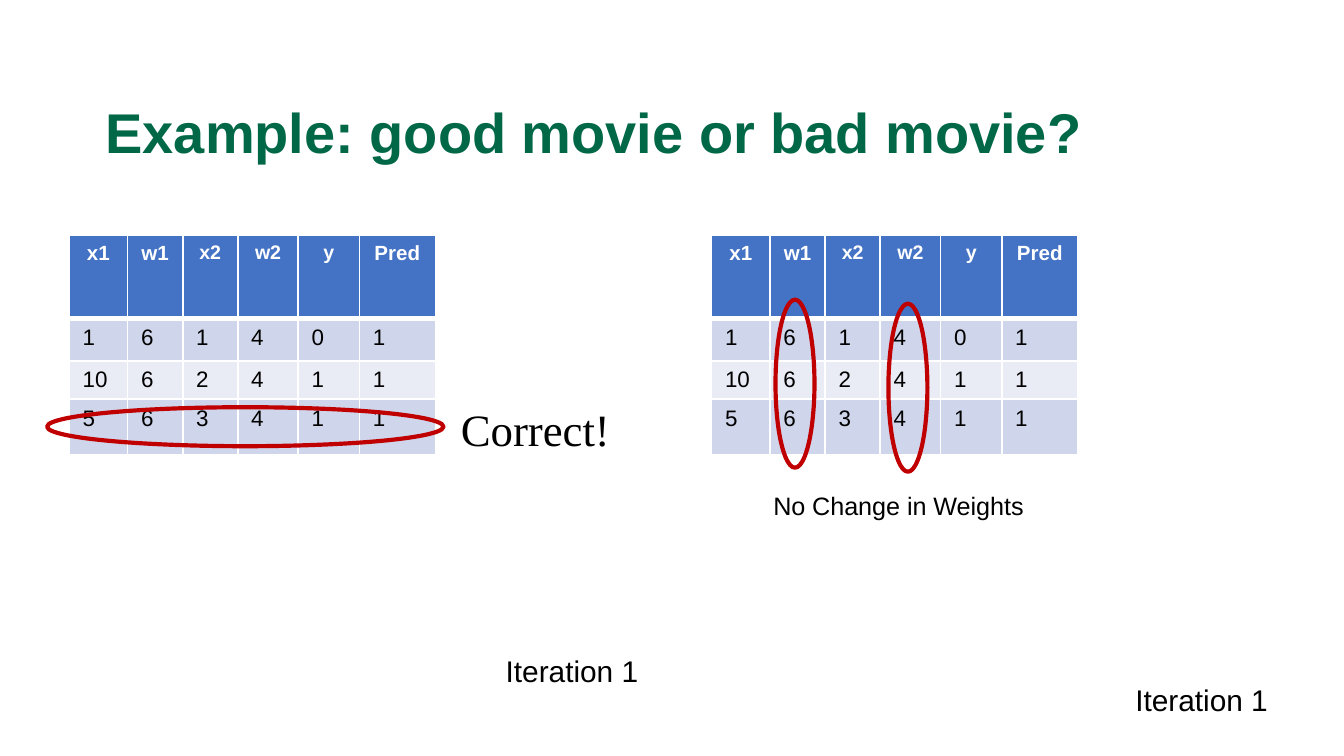
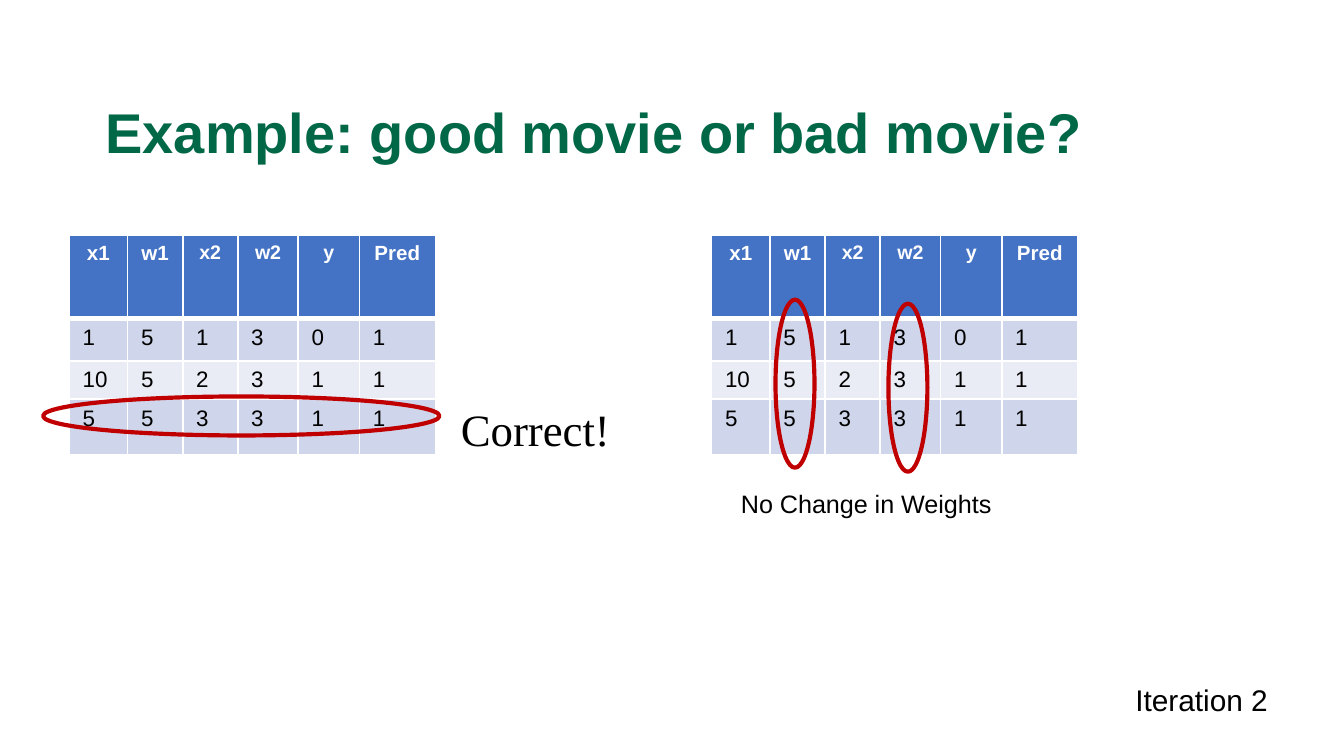
from lxml import etree
from pptx import Presentation
from pptx.dml.color import RGBColor
from pptx.enum.shapes import MSO_SHAPE
from pptx.enum.text import MSO_ANCHOR, MSO_AUTO_SIZE, PP_ALIGN
from pptx.oxml.ns import qn
from pptx.util import Emu, Pt

LEFT, CENTER = PP_ALIGN.LEFT, PP_ALIGN.CENTER
TOP, MIDDLE = MSO_ANCHOR.TOP, MSO_ANCHOR.MIDDLE
FIT_SHAPE, NO_FIT = MSO_AUTO_SIZE.SHAPE_TO_FIT_TEXT, MSO_AUTO_SIZE.NONE
OVAL, RECTANGLE = MSO_SHAPE.OVAL, MSO_SHAPE.RECTANGLE

PX = 4572  # EMU in one px, 200 px to the inch
COLORS = {
    "title": "006747",
    "header": "4472C4",
    "odd_row": "CFD5EA",
    "even_row": "E9EBF5",
    "ring": "C00000",
    "white": "FFFFFF",
    "black": "000000",
}
STYLES = {
    "title": {"name": "Arial", "size": Pt(30), "bold": True, "color": "title"},
    "header": {"name": "Arial", "size": Pt(11), "bold": True, "color": "white"},
    "small_header": {"name": "Arial", "size": Pt(10.5), "bold": True, "color": "white"},
    "cell": {"name": "Arial", "size": Pt(12), "bold": False, "color": "black"},
    "iteration": {"name": "Arial", "size": Pt(16), "color": "black"},
    "note": {"name": "Arial", "size": Pt(13.5), "color": "black"},
    "verdict": {"name": "Times New Roman", "size": Pt(24), "color": "black"},
}

HEADERS = ["x1", "w1", "x2", "w2", "y", "Pred"]
SMALL_HEADERS = ["x2", "w2", "y"]
SAMPLES = [(1, 1, 0, 1), (10, 2, 1, 1), (5, 3, 1, 1)]  # x1, x2, y, Pred
COLUMN_WIDTHS = [87, 82, 82, 90, 91, 113]
ROW_HEIGHTS = [124, 63, 57, 83]
TABLE_LEFTS, TABLE_TOP = [103, 1059], 350
RING_LONG, RING_SHORT = 590, 58
WEIGHT_RINGS = [(1058, 542, 250, RING_SHORT), (1226, 548, 250, RING_SHORT)]

ITERATIONS = [
    {
        "weights": (6, 4),
        "row_ring": (70, 606),
        "note": (1131, 720),
        "labels": [("Iteration 1", 733, 962), ("Iteration 1", 1670, 1005)],
    },
    {
        "weights": (5, 3),
        "row_ring": (64, 590),
        "note": (1083, 717),
        "labels": [("Iteration 2", 1670, 1005)],
    },
]


def color(name):
    return RGBColor.from_string(COLORS[name])


def write(frame, text, style, align=LEFT):
    para = frame.paragraphs[0]
    para.alignment = align
    span = para.add_run()
    span.text = text
    for key, value in STYLES[style].items():
        if key == "color":
            span.font.color.rgb = color(value)
        else:
            setattr(span.font, key, value)


deck = Presentation()
deck.slide_width, deck.slide_height = 2000 * PX, 1125 * PX

for iteration in ITERATIONS:
    page = deck.slides.add_slide(deck.slide_layouts[5])
    shapes = page.shapes

    title = shapes.title
    title.left, title.top, title.width, title.height = (v * PX for v in (137, 126, 1725, 152))
    title.text_frame.auto_size = NO_FIT
    title.text_frame.vertical_anchor = MIDDLE
    write(title.text_frame, "Example: good movie or bad movie?", "title")
    title.text_frame.paragraphs[0].line_spacing = 0.9

    w1, w2 = iteration["weights"]
    rows = [HEADERS] + [(x1, w1, x2, w2, y, pred) for x1, x2, y, pred in SAMPLES]
    for table_left in TABLE_LEFTS:
        table = shapes.add_table(
            len(rows), len(HEADERS), table_left * PX, TABLE_TOP * PX,
            sum(COLUMN_WIDTHS) * PX, sum(ROW_HEIGHTS) * PX,
        ).table
        for column, width in zip(table.columns, COLUMN_WIDTHS):
            column.width = Emu(width * PX)
        for row, height in zip(table.rows, ROW_HEIGHTS):
            row.height = Emu(height * PX)
        for r, values in enumerate(rows):
            for c, value in enumerate(values):
                cell = table.cell(r, c)
                cell.margin_bottom = 6 * PX
                properties = cell._tc.get_or_add_tcPr()
                for side in ("L", "R", "T", "B"):
                    under_header = (r, side) in [(0, "B"), (1, "T")]
                    border = etree.SubElement(properties, qn("a:ln" + side))
                    border.set("w", str(Pt(3 if under_header else 1)))
                    fill = etree.SubElement(border, qn("a:solidFill"))
                    etree.SubElement(fill, qn("a:srgbClr")).set("val", COLORS["white"])
                cell.fill.solid()
                if r == 0:
                    cell.fill.fore_color.rgb = color("header")
                    style = "small_header" if value in SMALL_HEADERS else "header"
                    write(cell.text_frame, value, style, CENTER)
                else:
                    cell.fill.fore_color.rgb = color("odd_row" if r % 2 else "even_row")
                    write(cell.text_frame, str(value), "cell")

    row_ring = (*iteration["row_ring"], RING_LONG, RING_SHORT)
    for place, rotation in [(row_ring, 0)] + [(ring, 90) for ring in WEIGHT_RINGS]:
        ring = shapes.add_shape(OVAL, *(v * PX for v in place))
        ring.rotation = rotation
        ring.shadow.inherit = False
        ring.fill.background()
        ring.line.color.rgb = color("ring")
        ring.line.width = Pt(2.25)

    captions = [(text, "iteration", (x, y, 240, 74)) for text, x, y in iteration["labels"]]
    captions.append(("No Change in Weights", "note", (*iteration["note"], 418, 66)))
    for text, style, place in captions:
        box = shapes.add_textbox(*(v * PX for v in place))
        box.text_frame.word_wrap = False
        box.text_frame.auto_size = FIT_SHAPE
        write(box.text_frame, text, style)

    verdict = shapes.add_shape(RECTANGLE, *(v * PX for v in (666, 588, 298, 106)))
    verdict.shadow.inherit = False
    verdict.fill.solid()
    verdict.fill.fore_color.rgb = color("white")
    verdict.line.fill.background()
    verdict.text_frame.vertical_anchor = TOP
    write(verdict.text_frame, "Correct!", "verdict")

deck.save("out.pptx")
